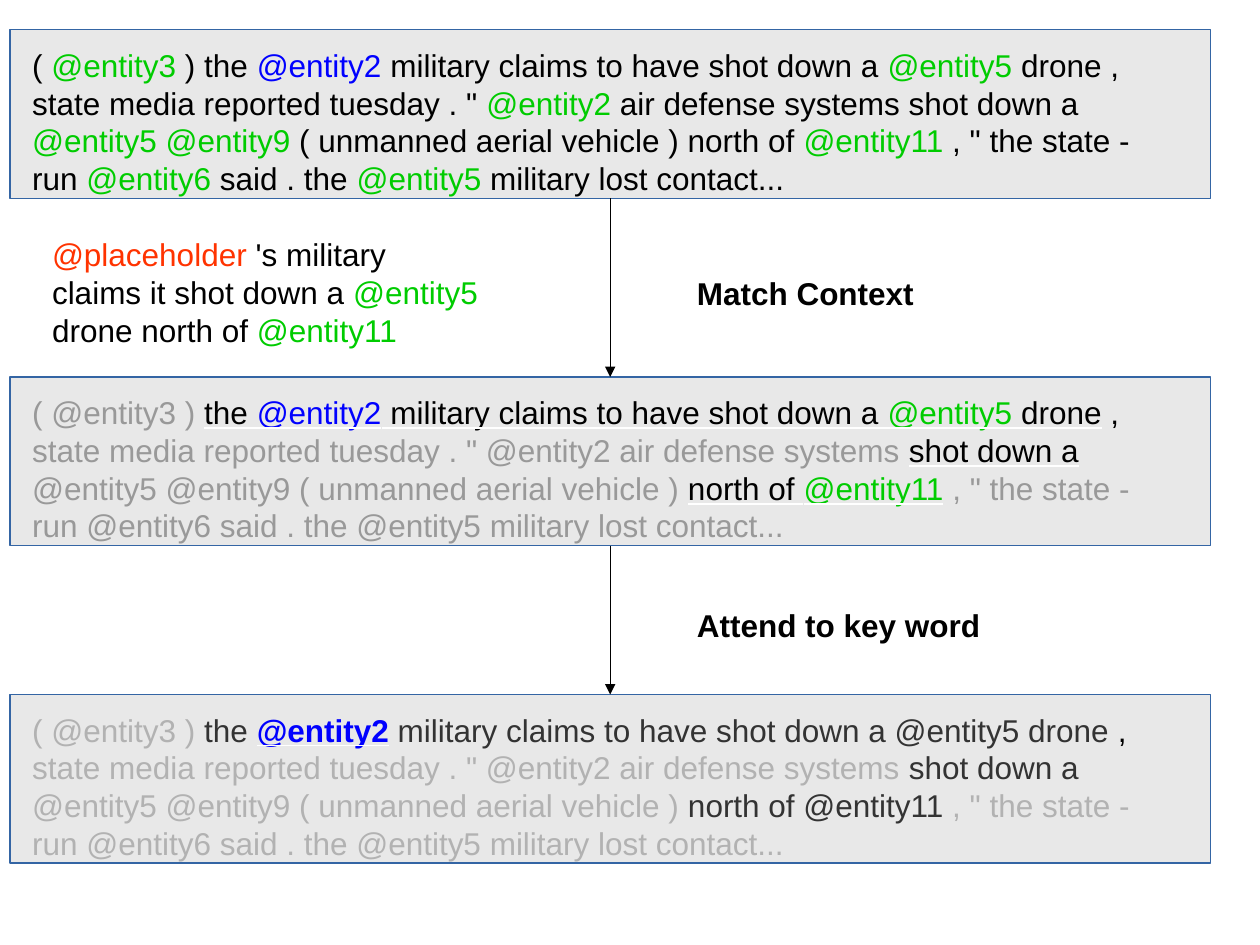
from pptx import Presentation
from pptx.dml.color import RGBColor
from pptx.enum.shapes import MSO_CONNECTOR as Connector, MSO_SHAPE as Shape
from pptx.oxml import parse_xml
from pptx.oxml.ns import nsdecls
from pptx.util import Cm, Pt

BLACK = RGBColor(0x00, 0x00, 0x00)
DARK = RGBColor(0x33, 0x33, 0x33)
GREY = RGBColor(0x99, 0x99, 0x99)
LIGHT = RGBColor(0xB2, 0xB2, 0xB2)
GREEN = RGBColor(0x00, 0xCC, 0x00)
BLUE = RGBColor(0x00, 0x00, 0xFF)
RED = RGBColor(0xFF, 0x33, 0x00)
EDGE = RGBColor(0x34, 0x65, 0xA4)


class Diagram:
    """Holds the style and the current page."""

    font, size, line = "Arial", Pt(18), Pt(0.75)

    def __init__(self, page):
        self.page = page

    def panel(self, top):
        box = self.page.shapes.add_shape(
            Shape.RECTANGLE, Cm(0.2), Cm(top), Cm(24.2), Cm(3.4))
        box.shadow.inherit = False
        box.fill.solid()
        box.fill.fore_color.rgb = LIGHT
        color = box.fill._xPr.solidFill[0]
        color.append(parse_xml(f'<a:alpha {nsdecls("a")} val="29000"/>'))
        box.line.color.rgb = EDGE
        box.line.width = self.line
        return box

    def text(self, left, top, width, height, spans, bold=False):
        """Each span is (text, color) plus optional style letters b and u."""
        box = self.page.shapes.add_textbox(
            Cm(left), Cm(top), Cm(width), Cm(height))
        box.text_frame.word_wrap = True
        para = box.text_frame.paragraphs[0]
        para.font.name, para.font.size = self.font, self.size
        para.font.bold = bold
        for words, color, *style in spans:
            span = para.add_run()
            span.text = words
            span.font.color.rgb = color
            if "b" in style or bold:
                span.font.bold = True
            if "u" in style:
                self.underline(span)

    def underline(self, span):
        span.font.underline = True
        # White underline, placed straight after the text fill
        span.font._element.solidFill.addnext(parse_xml(
            f'<a:uFill {nsdecls("a")}><a:solidFill>'
            '<a:srgbClr val="FFFFFF"/></a:solidFill></a:uFill>'))

    def arrow(self, upper, lower):
        link = self.page.shapes.add_connector(Connector.STRAIGHT, 0, 0, 0, 0)
        link.begin_connect(upper, 2)
        link.end_connect(lower, 0)
        link.line.color.rgb = BLACK
        link.line.width = self.line
        link.line._get_or_add_ln().append(
            parse_xml(f'<a:tailEnd {nsdecls("a")} type="triangle"/>'))
        link._element.spPr.append(
            parse_xml(f'<a:effectLst {nsdecls("a")}/>'))


CLAIM = " military claims to have shot down a "
MEDIA = 'state media reported tuesday . " @entity2 air defense systems '
VEHICLE = "@entity5 @entity9 ( unmanned aerial vehicle ) "
ENDING = (' , " the state - run @entity6 said . '
          "the @entity5 military lost contact...")

CONTEXT = [
    ("( ", BLACK), ("@entity3", GREEN), (" ) the ", BLACK),
    ("@entity2", BLUE), (CLAIM, BLACK), ("@entity5", GREEN),
    (' drone , state media reported tuesday . " ', BLACK),
    ("@entity2", GREEN), (" air defense systems shot down a ", BLACK),
    ("@entity5 @entity9", GREEN),
    (" ( unmanned aerial vehicle ) north of ", BLACK),
    ("@entity11", GREEN), (' , " the state - run ', BLACK),
    ("@entity6", GREEN), (" said . the ", BLACK),
    ("@entity5", GREEN), (" military lost contact...", BLACK),
]
MATCHED = [
    ("( @entity3 ) ", GREY), ("the ", BLACK, "u"), ("@entity2", BLUE, "u"),
    (CLAIM, BLACK, "u"), ("@entity5", GREEN, "u"), (" drone", BLACK, "u"),
    (" , ", BLACK), (MEDIA, GREY), ("shot down a", BLACK, "u"),
    (" ", BLACK), (VEHICLE, GREY), ("north of ", BLACK, "u"),
    ("@entity11", GREEN, "u"), (ENDING, GREY),
]
ATTENDED = [
    ("( @entity3 ) ", LIGHT), ("the ", DARK), ("@entity2", BLUE, "b", "u"),
    (CLAIM + "@entity5 drone ", DARK), (", ", BLACK), (MEDIA, LIGHT),
    ("shot down a ", DARK), (VEHICLE, LIGHT),
    ("north of @entity11", DARK), (ENDING, LIGHT),
]
QUERY = [
    ("@placeholder", RED), (" 's military claims it shot down a ", BLACK),
    ("@entity5", GREEN), (" drone north of ", BLACK), ("@entity11", GREEN),
]


def main():
    deck = Presentation()
    deck.slide_width, deck.slide_height = Cm(25.4), Cm(19.05)
    diagram = Diagram(deck.slides.add_slide(deck.slide_layouts[6]))

    # Three stages of the passage
    panels = []
    for top, passage in ((0.6, CONTEXT), (7.6, MATCHED), (14, ATTENDED)):
        panels.append(diagram.panel(top))
        diagram.text(0.4, top + 0.2, 23.2, 3.1, passage)

    # Query
    diagram.text(0.8, 4.62, 9.2, 2.4, QUERY)

    # Steps between the stages
    for upper, lower in zip(panels, panels[1:]):
        diagram.arrow(upper, lower)
    for top, width, step in ((5.4, 5, "Match Context"),
                             (12.1, 6.3, "Attend to key word")):
        diagram.text(13.8, top, width, 0.96, [(step, BLACK)], bold=True)

    deck.save("out.pptx")


if __name__ == "__main__":
    main()
